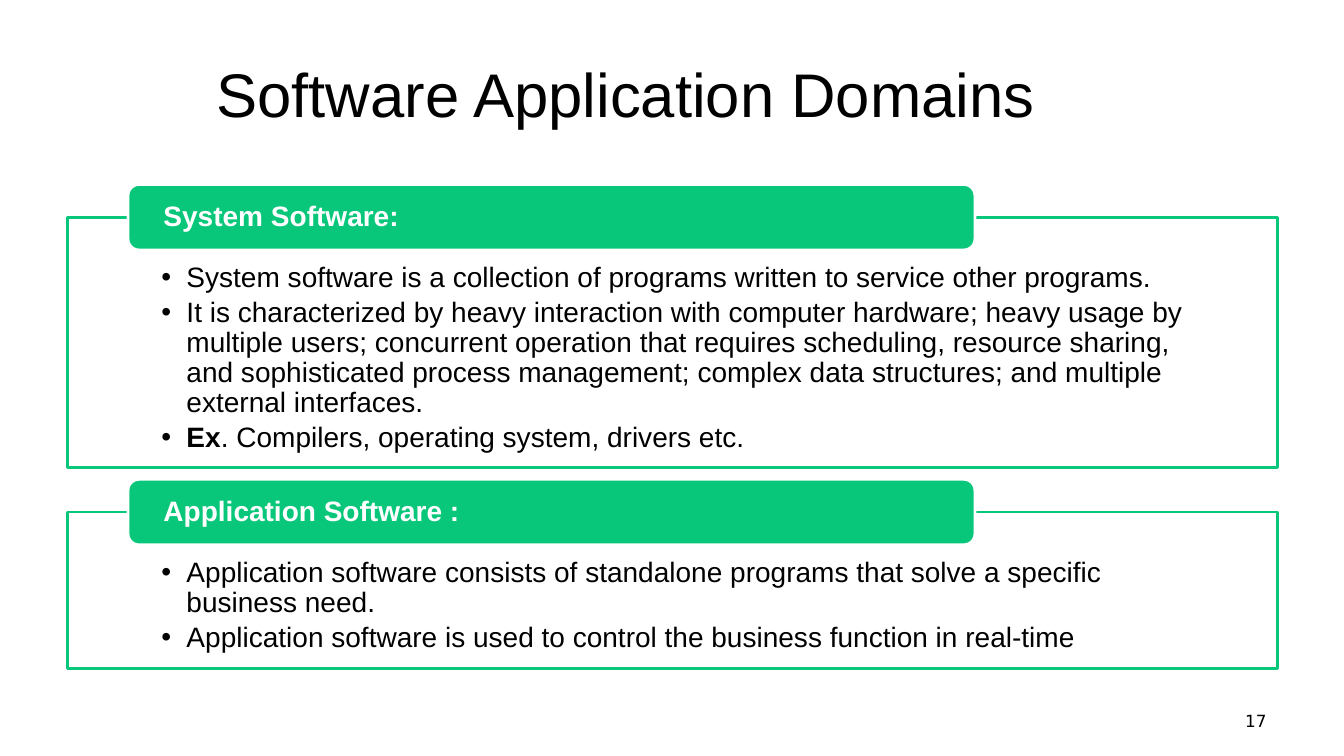
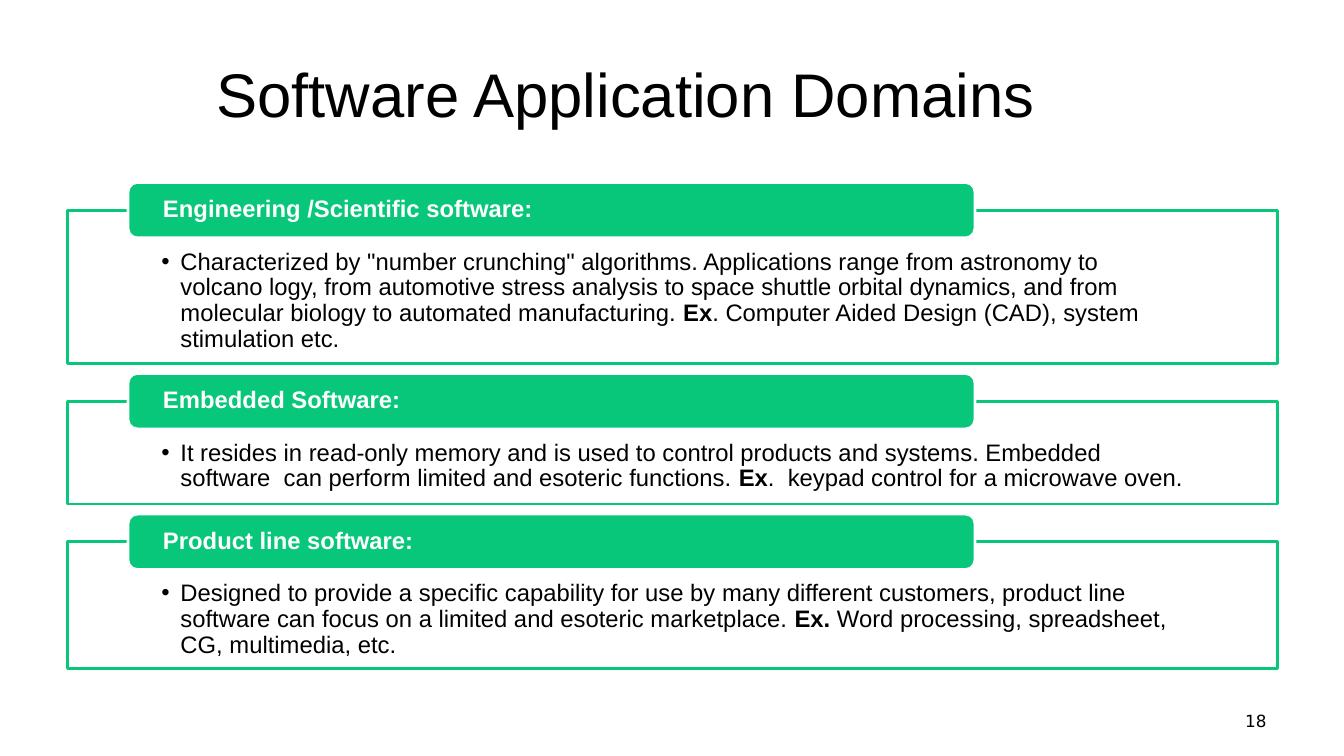
import pptx
import pptx.dml.color
import pptx.enum.shapes
import pptx.enum.text
import pptx.oxml
import pptx.oxml.ns
import pptx.util
from pptx.util import Inches, Pt

GREEN = pptx.dml.color.RGBColor(0x09, 0xC7, 0x7A)
WHITE = pptx.dml.color.RGBColor(0xFF, 0xFF, 0xFF)
BLACK = pptx.dml.color.RGBColor(0x00, 0x00, 0x00)

SHAPE = pptx.enum.shapes.MSO_SHAPE
ALIGN = pptx.enum.text.PP_ALIGN
ANCHOR = pptx.enum.text.MSO_ANCHOR

TITLE = "Software Application Domains"
TITLE_FONT = {"name": "Arial", "size": Pt(44)}
NUMBER_FONT = {"name": "DejaVu Sans", "size": Pt(12)}

FRAME_LEFT, FRAME_WIDTH = 0.67, 12
TAB_LEFT, TAB_WIDTH = 1.27, 8.4

# Sizes that change with the number of sections on a page, in inches and points
LARGE = {"top": 1.83, "gap": 0.12, "tab": 0.65, "size": 20, "indent": 0.25,
         "insets": (0.93, 0.46, 0.93, 0.16)}
SMALL = {"top": 1.81, "gap": 0.1, "tab": 0.55, "size": 17, "indent": 0.19,
         "insets": (0.93, 0.39, 0.93, 0.13)}

# Each section: heading, frame height, bullets; *...* marks bold words
PAGES = [
    (17, LARGE, [
        ("System Software:", 2.48, [
            "System software is a collection of programs written to service other programs.",
            "It is characterized by heavy interaction with computer hardware; heavy usage "
            "by multiple users; concurrent operation that requires scheduling, resource "
            "sharing, and sophisticated process management; complex data structures; and "
            "multiple external interfaces.",
            "*Ex*. Compilers, operating system, drivers etc.",
        ]),
        ("Application Software :", 1.55, [
            "Application software consists of standalone programs that solve a specific "
            "business need.",
            "Application software is used to control the business function in real-time",
        ]),
    ]),
    (18, SMALL, [
        ("Engineering /Scientific software:", 1.52, [
            "Characterized by \"number crunching\" algorithms. Applications range from "
            "astronomy to volcano logy, from automotive stress analysis to space shuttle "
            "orbital dynamics, and from molecular biology to automated manufacturing. "
            "*Ex*. Computer Aided Design (CAD), system stimulation etc.",
        ]),
        ("Embedded Software:", 1.02, [
            "It resides in read-only memory and is used to control products and systems. "
            "Embedded software  can perform limited and esoteric functions. "
            "*Ex*.  keypad control for a microwave oven.",
        ]),
        ("Product line software:", 1.26, [
            "Designed to provide a specific capability for use by many different customers, "
            "product line software can focus on a limited and esoteric marketplace. "
            "*Ex.* Word processing, spreadsheet, CG, multimedia, etc.",
        ]),
    ]),
]


def set_all(target, values):
    for name, value in values.items():
        setattr(target, name, value)


def write(para, text, font, color=BLACK):
    """Fill a paragraph, with the words between asterisks in bold."""
    for index, part in enumerate(text.split("*")):
        if part:
            span = para.add_run()
            span.text = part
            set_all(span.font, {"bold": index % 2 == 1, **font})
            span.font.color.rgb = color


def add_bullet(para, indent):
    properties = para._p.get_or_add_pPr()
    properties.set("marL", str(Inches(indent)))
    properties.set("indent", str(-Inches(indent)))
    for tag, name, value in (("a:buFont", "typeface", "Arial"), ("a:buChar", "char", "•")):
        bullet = pptx.oxml.parse_xml(f"<{tag} {pptx.oxml.ns.nsdecls('a')}/>")
        bullet.set(name, value)
        properties.append(bullet)


def set_frame(text_frame, anchor, insets=(0.1, 0.05, 0.1, 0.05)):
    sides = ("margin_left", "margin_top", "margin_right", "margin_bottom")
    set_all(text_frame, {"word_wrap": True, "vertical_anchor": anchor})
    set_all(text_frame, {side: Inches(inset) for side, inset in zip(sides, insets)})


def add_label(page, area, text, font, align):
    box = page.shapes.add_textbox(*map(Inches, area))
    set_frame(box.text_frame, ANCHOR.MIDDLE)
    para = box.text_frame.paragraphs[0]
    para.alignment = align
    write(para, text, font)


def add_panel(page, kind, area, fill, line):
    panel = page.shapes.add_shape(kind, *map(Inches, area))
    panel.shadow.inherit = False
    panel.fill.solid()
    panel.fill.fore_color.rgb = fill
    panel.line.color.rgb = line
    panel.line.width = Pt(2)
    return panel


def add_section(page, top, heading, height, bullets, style):
    """Draw a framed list whose tab sits astride the frame's top edge."""
    font = {"name": "Arial", "size": Pt(style["size"])}

    frame = add_panel(page, SHAPE.RECTANGLE,
                      (FRAME_LEFT, top + style["tab"] / 2, FRAME_WIDTH, height),
                      WHITE, GREEN)
    text_frame = frame.text_frame
    set_frame(text_frame, ANCHOR.TOP, style["insets"])
    for index, bullet in enumerate(bullets):
        para = text_frame.add_paragraph() if index else text_frame.paragraphs[0]
        add_bullet(para, style["indent"])
        set_all(para, {"level": 1, "alignment": ALIGN.LEFT, "line_spacing": 0.9,
                       "space_after": Pt(3)})
        write(para, bullet, font)

    tab = add_panel(page, SHAPE.ROUNDED_RECTANGLE,
                    (TAB_LEFT, top, TAB_WIDTH, style["tab"]), GREEN, WHITE)
    set_frame(tab.text_frame, ANCHOR.MIDDLE, (0.32, 0, 0.32, 0))
    para = tab.text_frame.paragraphs[0]
    set_all(para, {"alignment": ALIGN.LEFT, "line_spacing": 0.9})
    write(para, heading, {**font, "bold": True}, WHITE)


def add_page(deck, number, style, sections):
    page = deck.slides.add_slide(deck.slide_layouts[6])
    add_label(page, (0.67, 0.3, 11.08, 1.25), TITLE, TITLE_FONT, ALIGN.CENTER)
    top = style["top"]
    for heading, height, bullets in sections:
        add_section(page, top, heading, height, bullets, style)
        top += style["tab"] / 2 + height + style["gap"]
    add_label(page, (9.55, 6.95, 3.11, 0.4), str(number), NUMBER_FONT, ALIGN.RIGHT)


def main():
    deck = pptx.Presentation()
    deck.slide_width, deck.slide_height = Inches(13.33), Inches(7.5)
    for number, style, sections in PAGES:
        add_page(deck, number, style, sections)
    deck.save("out.pptx")


if __name__ == "__main__":
    main()
